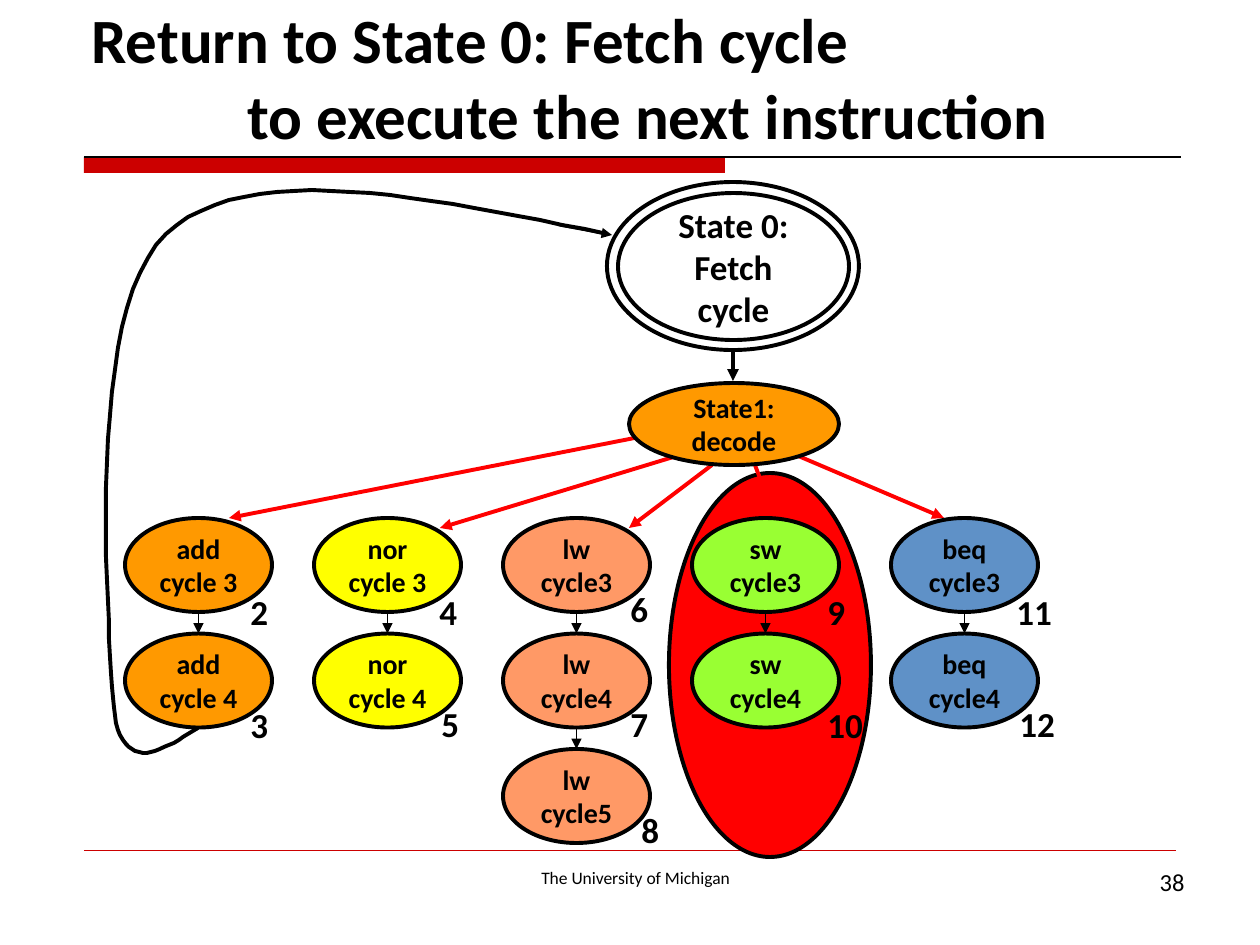
from dataclasses import dataclass

from lxml import etree
from pptx import Presentation
from pptx.dml.color import RGBColor
from pptx.enum.shapes import MSO_CONNECTOR, MSO_SHAPE
from pptx.enum.text import MSO_ANCHOR, PP_ALIGN
from pptx.oxml.ns import qn
from pptx.util import Emu, Pt

OVAL, RECTANGLE = MSO_SHAPE.OVAL, MSO_SHAPE.RECTANGLE
STRAIGHT = MSO_CONNECTOR.STRAIGHT
LEFT, CENTER, RIGHT = PP_ALIGN.LEFT, PP_ALIGN.CENTER, PP_ALIGN.RIGHT
TOP, MIDDLE, BOTTOM = MSO_ANCHOR.TOP, MSO_ANCHOR.MIDDLE, MSO_ANCHOR.BOTTOM


@dataclass(frozen=True)
class Theme:
    font: str = "Calibri"
    ink: str = "000000"
    accent: str = "CC0000"
    branch: str = "FF0000"
    orange: str = "FF9900"
    yellow: str = "FFFF00"
    salmon: str = "FF9966"
    green: str = "99FF33"
    blue: str = "5F91C7"
    title: int = 36
    state: int = 20
    node: int = 16
    page: int = 14
    footer: int = 10
    outline: float = 2.25


THEME = Theme()
PX = 914400 / 126

TITLE = ["Return to State 0: Fetch cycle", "to execute the next instruction"]
TITLE_INDENT = 156
FOOTER = "The University of Michigan"
PAGE = "38"

NODE_W, NODE_H = 147, 94
FIRST_ROW, ROW_STEP = 518, 115.5
BRANCHES = [
    {"left": 125, "fill": THEME.orange, "arrow": (660, 433, 229, 518),
     "steps": [("add", "cycle 3", "2", 113, 66), ("add", "cycle 4", "3", 113, 64)]},
    {"left": 314, "fill": THEME.yellow, "arrow": (680, 455, 440, 528),
     "steps": [("nor", "cycle 3", "4", 113, 66), ("nor", "cycle 4", "5", 115, 63)]},
    {"left": 503, "fill": THEME.salmon, "arrow": (712, 465, 629, 528),
     "steps": [("lw", "cycle3", "6", 115, 63), ("lw", "cycle4", "7", 115, 63),
               ("lw", "cycle5", "8", 126, 53)]},
    {"left": 692, "fill": THEME.green, "arrow": (755, 465, 775, 518),
     "steps": [("sw", "cycle3", "9", 123, 66), ("sw", "cycle4", "10", 123, 64)]},
    {"left": 891, "fill": THEME.blue, "arrow": (796, 455, 944, 518),
     "steps": [("beq", "cycle3", "11", 113, 66), ("beq", "cycle4", "12", 116, 63)]},
]
RETURN_CURVE = [
    ((198, 728), (159, 753), (118, 779), (113, 697)),
    ((113, 697), (108, 614), (84, 311), (166, 234)),
    ((166, 234), (248, 158), (428, 197), (607, 234)),
]
CURVE_STEPS = 24

prs = Presentation()
prs.slide_width, prs.slide_height = Emu(round(1260 * PX)), Emu(round(945 * PX))
slide = prs.slides.add_slide(prs.slide_layouts[6])
shapes = slide.shapes


def px(*lengths):
    return [Emu(round(length * PX)) for length in lengths]


def rgb(color):
    return RGBColor.from_string(color)


def write(frame, lines, size, align=LEFT, anchor=TOP, bold=True, wrap=True):
    frame.word_wrap = wrap
    frame.vertical_anchor = anchor
    for index, line in enumerate(lines):
        paragraph = frame.paragraphs[0] if index == 0 else frame.add_paragraph()
        paragraph.text = line
        paragraph.alignment = align
        font = paragraph.font
        font.name, font.size, font.bold = THEME.font, Pt(size), bold
        font.color.rgb = rgb(THEME.ink)


def label(box, lines, size, **style):
    frame = shapes.add_textbox(*px(*box)).text_frame
    write(frame, lines, size, **style)
    return frame


def paint(shape, fill=None, line=THEME.ink):
    shape.shadow.inherit = False
    if fill:
        shape.fill.solid()
        shape.fill.fore_color.rgb = rgb(fill)
    else:
        shape.fill.background()
    if line:
        shape.line.color.rgb = rgb(line)
        shape.line.width = Pt(THEME.outline)
    else:
        shape.line.fill.background()


def oval(box, fill=None, lines=(), size=THEME.node, wrap=False):
    shape = shapes.add_shape(OVAL, *px(*box))
    paint(shape, fill)
    write(shape.text_frame, lines, size, CENTER, MIDDLE, wrap=wrap)


def connect(ends, color=THEME.ink, width=THEME.outline, arrow=True):
    connector = shapes.add_connector(STRAIGHT, *px(*ends))
    connector.line.color.rgb = rgb(color)
    connector.line.width = Pt(width)
    if arrow:
        etree.SubElement(connector.line._get_or_add_ln(), qn("a:tailEnd"), type="triangle")
    etree.SubElement(connector._element.spPr, qn("a:effectLst"))


def bezier(a, b, c, d, t):
    u = 1 - t
    return tuple(u**3 * p + 3 * u * u * t * q + 3 * u * t * t * r + t**3 * s
                 for p, q, r, s in zip(a, b, c, d))


title_bar = shapes.add_shape(RECTANGLE, *px(84, 157, 641, 16))
paint(title_bar, THEME.accent, None)
connect((84, 157, 1181, 157), width=0.75, arrow=False)
connect((84, 850, 1176, 850), THEME.accent, 0.25, arrow=False)
label((399, 861, 473, 34), [FOOTER], THEME.footer, align=CENTER, bold=False)
label((903, 861, 294, 66), [PAGE], THEME.page, align=RIGHT, bold=False)

oval((669, 473, 202, 384), THEME.branch)
heading = label((79, 42, 1103, 116), TITLE, THEME.title, anchor=BOTTOM)
heading.paragraphs[1]._p.get_or_add_pPr().set("marL", str(px(TITLE_INDENT)[0]))

oval((618, 193, 231, 147), lines=["State 0:", "Fetch cycle"], size=THEME.state, wrap=True)
connect((733, 349, 733, 381))
oval((607, 182, 252, 168))

curve_points = [bezier(*segment, step / CURVE_STEPS)
                for segment in RETURN_CURVE for step in range(1, CURVE_STEPS + 1)]
builder = shapes.build_freeform(*RETURN_CURVE[0][0], scale=PX)
builder.add_line_segments(curve_points, close=False)
paint(builder.convert_to_shape())
connect((559, 225, 612, 235), width=1.5)

for branch in BRANCHES:
    connect(branch["arrow"], THEME.branch)

for branch in BRANCHES:
    left = branch["left"]
    center = left + NODE_W / 2
    for row, (name, cycle, number, dx, dy) in enumerate(branch["steps"]):
        top = FIRST_ROW + row * ROW_STEP
        oval((left, top, NODE_W, NODE_H), branch["fill"], [name, cycle])
        if row:
            connect((center, top - ROW_STEP + NODE_H, center, top), width=1)
        number_width = 43 if len(number) == 1 else 62
        label((left + dx, top + dy, number_width, 55), [number], THEME.state, wrap=False)

oval((629, 383, 210, 82), THEME.orange, ["State1:", "decode"])

prs.save("out.pptx")
